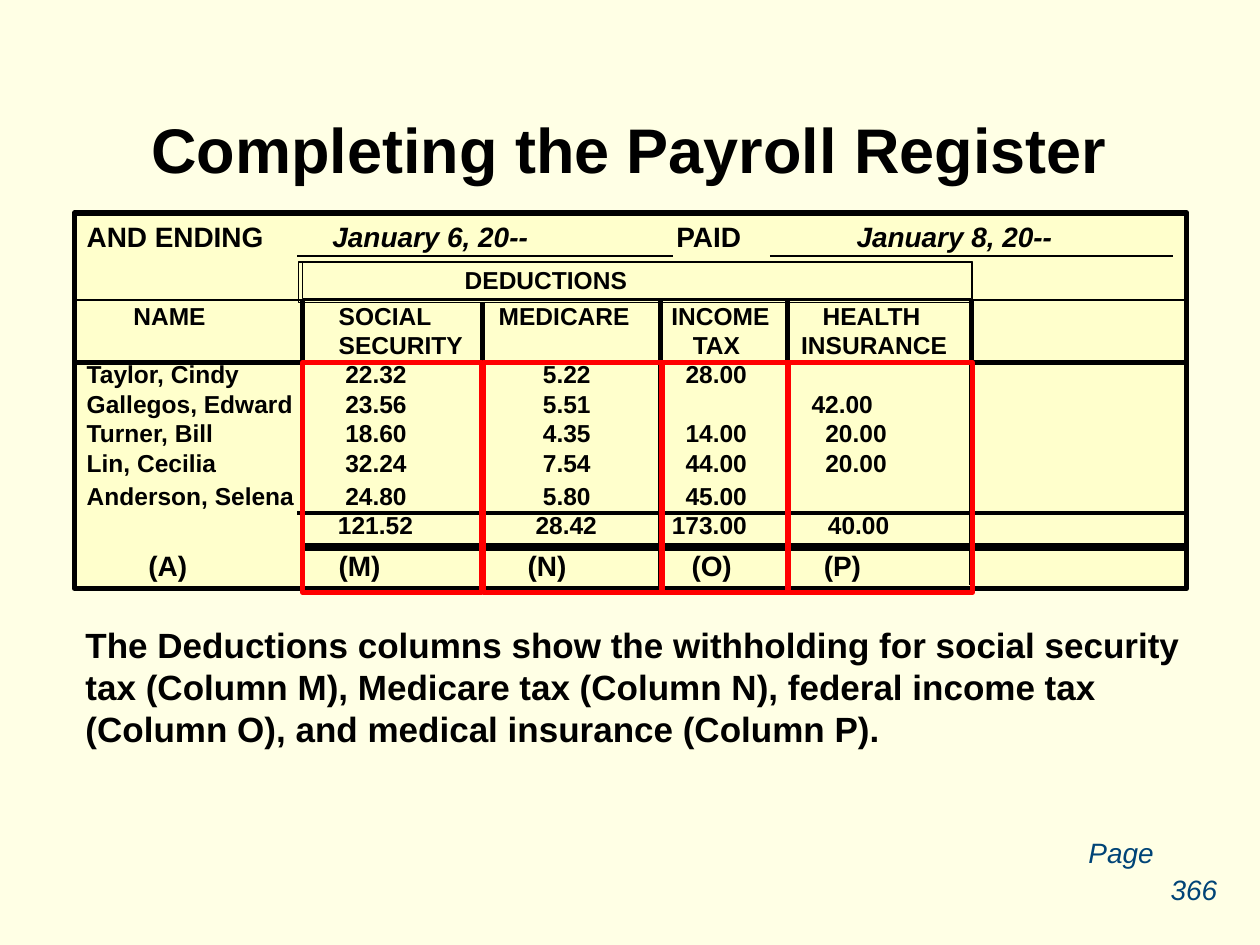
from lxml.etree import SubElement
from pptx import Presentation
from pptx.dml.color import RGBColor
from pptx.enum.shapes import MSO_CONNECTOR as CONN, MSO_SHAPE as SHAPE
from pptx.enum.text import MSO_ANCHOR as ANCHOR, PP_ALIGN as ALIGN
from pptx.oxml.ns import qn
from pptx.util import Inches, Pt

BLACK = RGBColor(0x00, 0x00, 0x00)
RED = RGBColor(0xFF, 0x00, 0x00)
NAVY = RGBColor(0x00, 0x44, 0x77)
IVORY = RGBColor(0xFF, 0xFF, 0xE5)
CREAM = RGBColor(0xFF, 0xFF, 0xCC)

prs = Presentation()
prs.slide_width, prs.slide_height = Inches(10), Inches(7.5)
s = prs.slides.add_slide(prs.slide_layouts[6])
s.background.fill.solid()
s.background.fill.fore_color.rgb = IVORY


def style(p, size, color=BLACK, bold=True, italic=False):
    f = p.font
    f.name, f.size, f.bold, f.italic = "Arial", Pt(size), bold, italic
    f.color.rgb = color


def add_box(left, top, width, height, color, weight):
    sp = s.shapes.add_shape(SHAPE.RECTANGLE, Inches(left), Inches(top),
                            Inches(width), Inches(height))
    sp.shadow.inherit = False
    sp.fill.background()
    sp.line.color.rgb = color
    sp.line.width = Pt(weight)
    return sp


# Title, explanation and page reference
for text, left, top, width, height, wrap, align, font in [
    ("Completing the Payroll Register", 0.33, 0.83, 9.33, 1.25, True,
     ALIGN.CENTER, (36,)),
    ("The Deductions columns show the withholding for social security tax "
     "(Column M), Medicare tax (Column N), federal income tax (Column O), "
     "and medical insurance (Column P).", 0.58, 4.9, 9.28, 1.61, True,
     ALIGN.LEFT, (20,)),
    ("Page", 8.54, 6.58, 0.72, 0.37, False, ALIGN.LEFT,
     (16, NAVY, False, True)),
    ("366", 9.19, 6.88, 0.57, 0.37, False, ALIGN.CENTER,
     (16, NAVY, False, True)),
]:
    tf = s.shapes.add_textbox(Inches(left), Inches(top), Inches(width),
                              Inches(height)).text_frame
    tf.word_wrap = wrap
    p = tf.paragraphs[0]
    p.text = text
    p.alignment = align
    style(p, *font)

# Register rows: cells, tab stops on the slide, stop side, size, space before
AMOUNTS = [3.23, 4.69, 5.93, 7.04]
rows = [
    (["AND ENDING", "January 6, 20--", "PAID", "January 8, 20--"],
     [2.64, 5.37, 6.8], "l", 16, 0),
    (["", "DEDUCTIONS"], [3.69], "l", 14, 7),
    (["", "NAME", "SOCIAL", "MEDICARE", "INCOME", "HEALTH"],
     [1.06, 2.69, 3.96, 5.33, 6.53], "l", 14, 3.5),
    (["", "SECURITY", "TAX", "INSURANCE"], [2.69, 5.5, 6.36], "l", 14, 0),
    (["Taylor, Cindy", "22.32", "5.22", "28.00"], AMOUNTS, "r", 14, 0),
    (["Gallegos, Edward", "23.56", "5.51", "", "42.00"],
     AMOUNTS[:3] + [6.93], "r", 14, 0),
    (["Turner, Bill", "18.60", "4.35", "14.00", "20.00"], AMOUNTS, "r", 14, 0),
    (["Lin, Cecilia", "32.24", "7.54", "44.00", "20.00"], AMOUNTS, "r", 14, 0),
    (["Anderson, Selena", "24.80", "5.80", "45.00"], AMOUNTS, "r", 14, 2),
    (["", "121.52", "28.42", "173.00", "40.00"],
     [3.28, 4.74, 5.93, 7.06], "r", 14, 0),
    (["", "(A)", "(M)", "(N)", "(O)", "(P)"],
     [1.18, 2.69, 4.19, 5.49, 6.54], "l", 16, 5),
]
LEFT, RIGHT = 0.59, 9.42
sp = add_box(LEFT, 1.69, RIGHT - LEFT, 2.98, BLACK, 3)
sp.fill.solid()
sp.fill.fore_color.rgb = CREAM
tf = sp.text_frame
tf.word_wrap = True
tf.vertical_anchor = ANCHOR.TOP
for i, (cells, stops, side, size, before) in enumerate(rows):
    p = tf.add_paragraph() if i else tf.paragraphs[0]
    p.alignment = ALIGN.LEFT
    tabs = SubElement(p._p.get_or_add_pPr(), qn("a:tabLst"))
    for stop in stops:
        SubElement(tabs, qn("a:tab"), pos=str(Inches(stop - LEFT - 0.1)),
                   algn=side)
    style(p, size)
    if before:
        p.space_before = Pt(before)
    for j, cell in enumerate(cells):
        r = p.add_run()
        r.text = "\t" + cell if j else cell
        if cell.startswith("January"):
            r.font.italic = True

# Rules of the register
for x1, y1, x2, y2, weight in [
    (LEFT, 2.88, RIGHT, 2.88, 3),
    (LEFT, 2.38, RIGHT, 2.38, 1),
    (5.24, 2.38, 5.24, 4.68, 3),
    (6.25, 2.38, 6.25, 4.65, 3),
    (7.71, 2.38, 7.71, 4.64, 3),
    (3.83, 2.4, 3.83, 4.66, 3),
    (2.36, 2.03, 5.34, 2.03, 1),
    (2.36, 4.07, RIGHT, 4.07, 2),
    (2.39, 4.34, RIGHT, 4.34, 4.5),
    (6.11, 2.03, 9.31, 2.03, 1),
    (2.4, 2.37, 2.4, 4.69, 3),
]:
    line = s.shapes.add_connector(CONN.STRAIGHT, Inches(x1), Inches(y1),
                                  Inches(x2), Inches(y2))
    line.line.color.rgb = BLACK
    line.line.width = Pt(weight)
    SubElement(line._element.spPr, qn("a:effectLst"))

# Red frames around the deduction columns
for left, width in [(2.4, 1.42), (3.84, 1.42), (5.25, 1), (6.26, 1.46)]:
    add_box(left, 2.88, width, 1.82, RED, 3)

# Double frame around the Deductions heading
add_box(2.4, 2.08, 5.31, 0.29, BLACK, 0.75)
add_box(2.37, 2.08, 5.35, 0.32, BLACK, 0.75)

prs.save("out.pptx")
